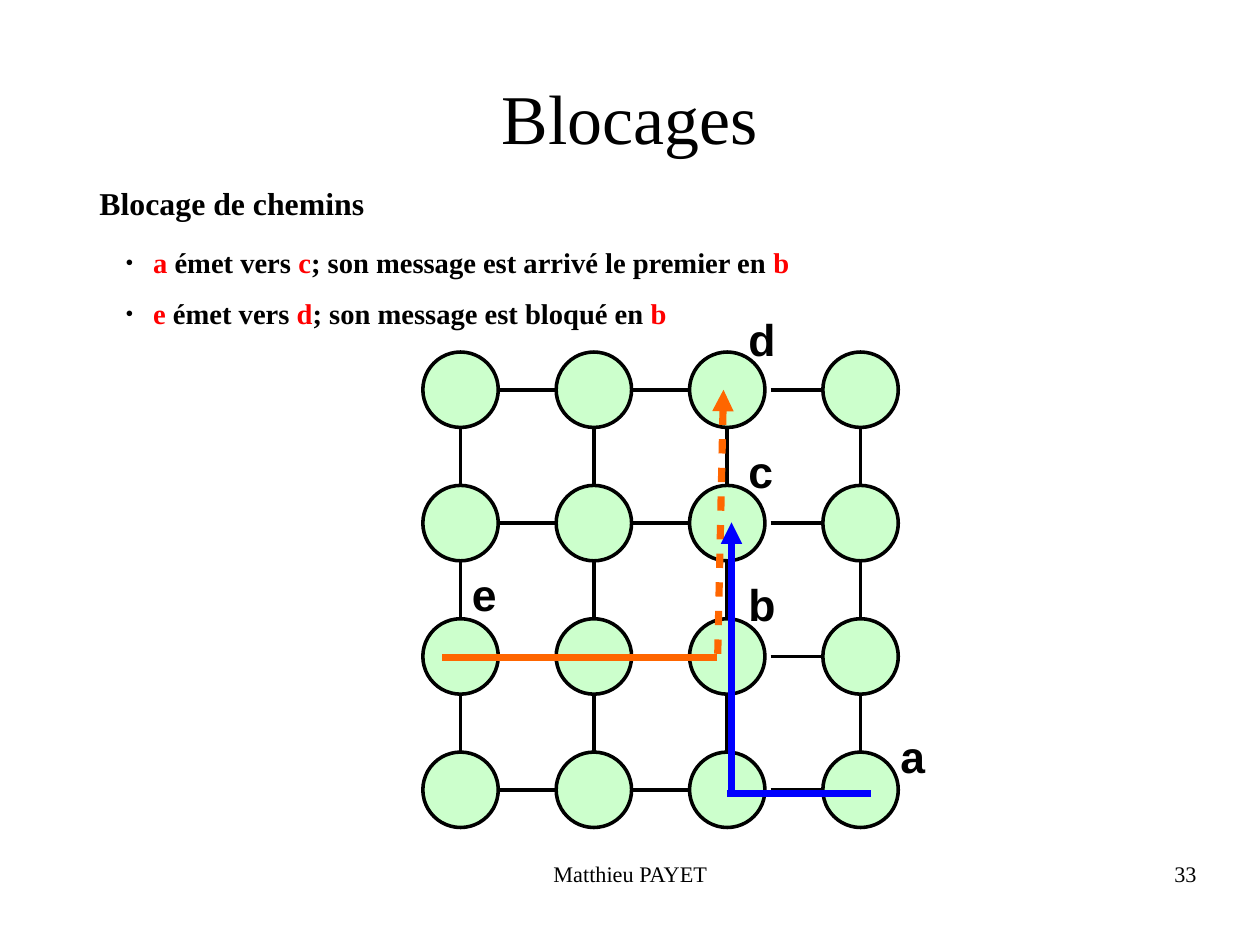
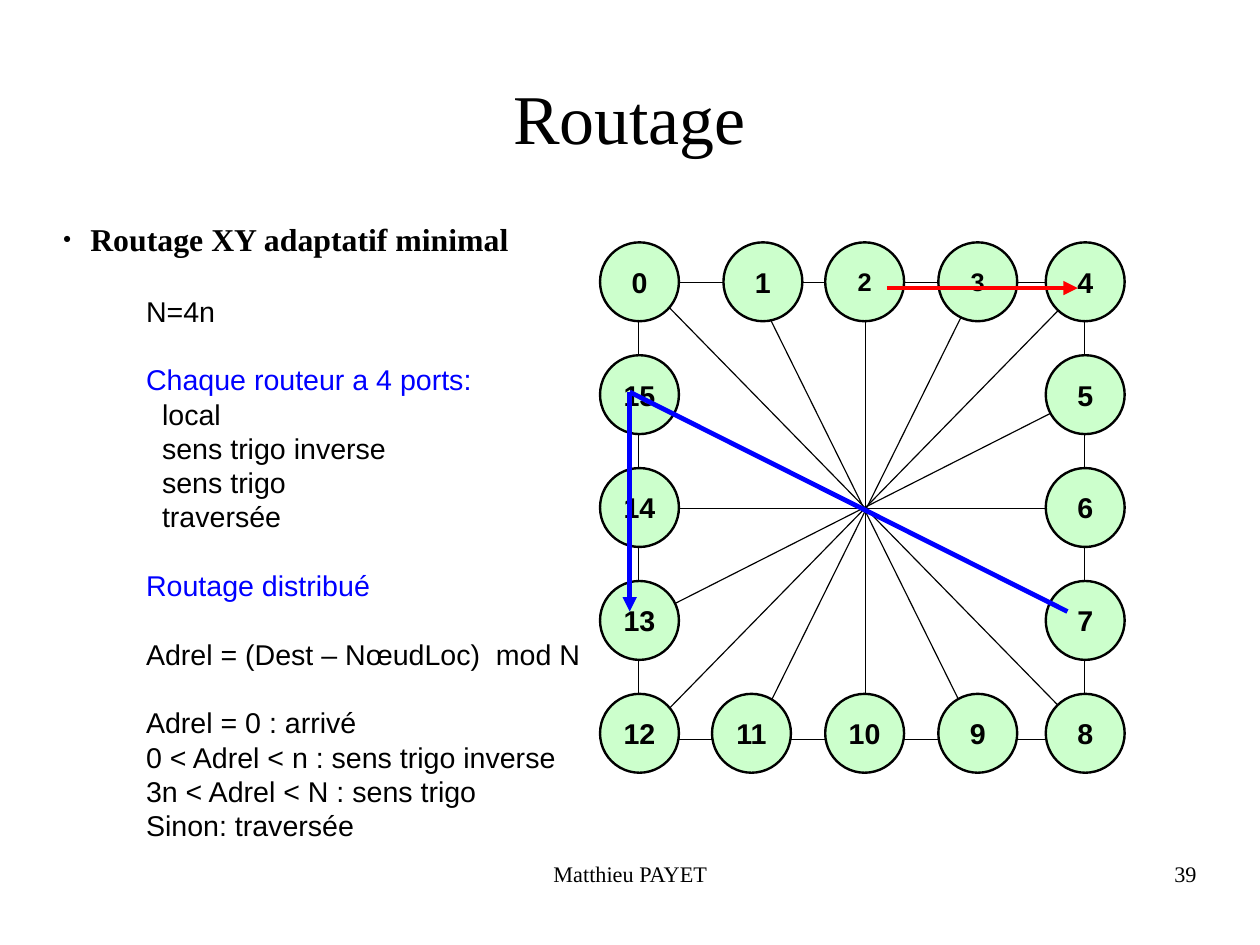
from dataclasses import dataclass
from typing import NamedTuple, Optional

from lxml.etree import SubElement
from pptx import Presentation
from pptx.dml.color import RGBColor
from pptx.enum.shapes import MSO_CONNECTOR, MSO_SHAPE
from pptx.enum.text import MSO_ANCHOR, MSO_AUTO_SIZE, PP_ALIGN
from pptx.oxml.ns import qn
from pptx.util import Inches, Pt


@dataclass(frozen=True)
class Theme:
    ink: str = "000000"
    node: str = "CCFFCC"
    red: str = "FF0000"
    blue: str = "0000FF"
    orange: str = "FF6600"
    serif: str = "Times New Roman"
    sans: str = "Arial"
    title: float = 44
    label: float = 28
    heading: float = 20
    text: float = 18
    small: float = 16
    footer: float = 14
    leading: float = 21.6


THEME = Theme()


class Span(NamedTuple):
    text: str
    color: Optional[str] = None


class Box(NamedTuple):
    left: float
    top: float
    width: float
    height: float


class Stroke(NamedTuple):
    start: tuple[float, float]
    end: tuple[float, float]
    color: str = THEME.ink
    weight: float = 0.75
    arrow: bool = False
    dashed: bool = False


class Item(NamedTuple):
    spans: tuple[Span, ...]
    size: float
    after: float
    margin: float
    bullet: bool = False
    level: int = 0


class Label(NamedTuple):
    text: str
    left: float
    top: float


class Row(NamedTuple):
    text: str
    color: str = THEME.ink
    gap: bool = False
    indent: float = 0


TITLE_BOX = Box(0.55, 0.33, 9.92, 1.38)
AUTHOR_BOX = Box(3.77, 7.53, 3.49, 0.57)
NUMBER_BOX = Box(7.9, 7.53, 2.57, 0.57)

BLOCKING_ITEMS = (
    Item((Span("Blocage de chemins"),), THEME.heading, 14.2, 0.24),
    Item((Span("a", THEME.red), Span(" émet vers "), Span("c", THEME.red),
          Span("; son message est arrivé le premier en "), Span("b", THEME.red)),
         THEME.text, 10.5, 0.71, True, 1),
    Item((Span("e ", THEME.red), Span("émet vers "), Span("d", THEME.red),
          Span("; son message est bloqué en "), Span("b", THEME.red)),
         THEME.text, 8.5, 0.71, True, 1),
)
BLOCKED_PATHS = (
    Stroke((3.87, 5.75), (6.27, 5.75), THEME.orange, 4.5),
    Stroke((6.28, 5.72), (6.33, 3.41), THEME.orange, 4.5, True, True),
    Stroke((7.62, 6.94), (6.36, 6.94), THEME.blue, 4.5),
    Stroke((6.4, 6.94), (6.4, 4.57), THEME.blue, 4.5, True),
)
NODE_LABELS = (
    Label("a", 7.78, 6.33), Label("b", 6.45, 5), Label("c", 6.45, 3.84),
    Label("d", 6.45, 2.68), Label("e", 4.03, 4.91),
)
ROUTING_ITEMS = (
    Item((Span("Routage XY adaptatif minimal"),), THEME.heading, 14.2, 0.24, True),
)
SPOKES = (
    Stroke((7.57, 2.47), (7.57, 6.47)),
    Stroke((5.59, 4.45), (9.5, 4.45)),
    Stroke((9.5, 2.47), (5.59, 6.47)),
    Stroke((5.64, 2.47), (9.55, 6.47)),
    Stroke((6.58, 2.47), (8.56, 6.47)),
    Stroke((8.56, 2.47), (6.58, 6.47)),
    Stroke((9.5, 3.46), (5.59, 5.44)),
    Stroke((5.59, 3.46), (9.5, 5.44)),
)
ROUTES = (
    Stroke((7.76, 2.52), (9.43, 2.52), THEME.red, 3, True),
    Stroke((5.51, 3.43), (5.51, 5.35), THEME.blue, 3, True),
    Stroke((5.51, 3.43), (9.34, 5.35), THEME.blue, 3),
)
ROUTING_ROWS = (
    Row("N=4n"),
    Row("Chaque routeur a 4 ports:", THEME.blue, True),
    Row("local", indent=0.14),
    Row("sens trigo inverse", indent=0.14),
    Row("sens trigo", indent=0.14),
    Row("traversée", indent=0.14),
    Row("Routage distribué", THEME.blue, True),
    Row("Adrel = (Dest – NœudLoc)  mod N", gap=True),
    Row("Adrel = 0 : arrivé", gap=True),
    Row("0 < Adrel < n : sens trigo inverse"),
    Row("3n < Adrel < N : sens trigo"),
    Row("Sinon: traversée"),
)


def rgb(color: str) -> RGBColor:
    return RGBColor.from_string(color)


def place(shape, box: Box) -> None:
    shape.left, shape.top, shape.width, shape.height = map(Inches, box)


def set_frame(frame, horizontal: float = 0, vertical: float = 0, wrap: bool = True) -> None:
    frame.margin_left = frame.margin_right = Inches(horizontal)
    frame.margin_top = frame.margin_bottom = Inches(vertical)
    frame.word_wrap = wrap
    frame.auto_size = MSO_AUTO_SIZE.NONE


def set_font(para, size: float, name: str, color: str = THEME.ink, bold: bool = False) -> None:
    font = para.font
    font.size, font.name, font.bold = Pt(size), name, bold
    font.color.rgb = rgb(color)


def add_text(page, box: Box, text: str, size: float, name: str,
             align: PP_ALIGN = PP_ALIGN.LEFT, bold: bool = False,
             horizontal: float = 0, vertical: float = 0) -> None:
    frame = page.shapes.add_textbox(*map(Inches, box)).text_frame
    set_frame(frame, horizontal, vertical)
    para = frame.paragraphs[0]
    para.text, para.alignment = text, align
    set_font(para, size, name, bold=bold)


def add_stroke(page, stroke: Stroke) -> None:
    line = page.shapes.add_connector(
        MSO_CONNECTOR.STRAIGHT, *map(Inches, (*stroke.start, *stroke.end)))
    line.line.color.rgb = rgb(stroke.color)
    line.line.width = Pt(stroke.weight)
    outline = line.line._get_or_add_ln()
    if stroke.dashed:
        dashes = SubElement(outline, qn("a:custDash"))
        SubElement(dashes, qn("a:ds"), d="200000", sp="200000")
    if stroke.arrow:
        SubElement(outline, qn("a:tailEnd"), type="triangle")
    SubElement(line._element.spPr, qn("a:effectLst"))


def add_node(page, left: float, top: float, diameter: float, weight: float,
             text: str = "", size: float = THEME.text) -> None:
    node = page.shapes.add_shape(
        MSO_SHAPE.OVAL, *map(Inches, (left, top, diameter, diameter)))
    node.shadow.inherit = False
    node.fill.solid()
    node.fill.fore_color.rgb = rgb(THEME.node)
    node.line.color.rgb = rgb(THEME.ink)
    node.line.width = Pt(weight)
    if text:
        frame = node.text_frame
        set_frame(frame, wrap=False)
        frame.vertical_anchor = MSO_ANCHOR.MIDDLE
        para = frame.paragraphs[0]
        para.text, para.alignment = text, PP_ALIGN.CENTER
        set_font(para, size, THEME.sans, bold=True)


def fill_body(body, box: Box, items: tuple[Item, ...]) -> None:
    place(body, box)
    frame = body.text_frame
    set_frame(frame)
    frame.vertical_anchor = MSO_ANCHOR.TOP
    for index, item in enumerate(items):
        para = frame.add_paragraph() if index else frame.paragraphs[0]
        para.level = item.level
        para.alignment = PP_ALIGN.LEFT
        para.space_before, para.space_after = Pt(0), Pt(item.after)
        properties = para._p.get_or_add_pPr()
        properties.set("marL", str(Inches(item.margin)))
        properties.set("indent", str(Inches(-0.24 if item.bullet else 0)))
        if item.bullet:
            color = SubElement(properties, qn("a:buClr"))
            SubElement(color, qn("a:srgbClr"), val=THEME.ink)
            SubElement(properties, qn("a:buSzPct"), val="45000")
            SubElement(properties, qn("a:buChar"), char="●")
        else:
            SubElement(properties, qn("a:buNone"))
        set_font(para, item.size, THEME.serif, bold=True)
        for span in item.spans:
            run = para.add_run()
            run.text = span.text
            if span.color:
                run.font.color.rgb = rgb(span.color)


def add_page(deck, title: str, number: int, body_box: Box, items: tuple[Item, ...]):
    page = deck.slides.add_slide(deck.slide_layouts[1])
    heading = page.shapes.title
    place(heading, TITLE_BOX)
    frame = heading.text_frame
    set_frame(frame)
    frame.vertical_anchor = MSO_ANCHOR.MIDDLE
    para = frame.paragraphs[0]
    para.text, para.alignment = title, PP_ALIGN.CENTER
    set_font(para, THEME.title, THEME.serif)
    fill_body(page.placeholders[1], body_box, items)
    add_text(page, AUTHOR_BOX, "Matthieu PAYET", THEME.footer, THEME.serif, PP_ALIGN.CENTER)
    add_text(page, NUMBER_BOX, str(number), THEME.footer, THEME.serif, PP_ALIGN.RIGHT)
    return page


def draw_mesh(page) -> None:
    count, left, top, diameter, pitch, weight = 4, 3.7, 3.08, 0.66, 3.5 / 3, 2.25
    radius = diameter / 2
    for row in range(count):
        for column in range(count):
            x, y = left + column * pitch, top + row * pitch
            add_node(page, x, y, diameter, weight)
            if column < count - 1:
                gap = 0.05 if column == count - 2 else 0
                add_stroke(page, Stroke((x + diameter + gap, y + radius),
                                        (x + pitch, y + radius), weight=weight))
            if row < count - 1:
                add_stroke(page, Stroke((x + radius, y + diameter),
                                        (x + radius, y + pitch), weight=weight))


def draw_ring(page) -> None:
    ring = page.shapes.add_shape(MSO_SHAPE.RECTANGLE, *map(Inches, (5.59, 2.47, 3.9, 4)))
    ring.shadow.inherit = False
    ring.fill.background()
    ring.line.color.rgb = rgb(THEME.ink)
    ring.line.width = Pt(0.75)
    for spoke in SPOKES:
        add_stroke(page, spoke)
    rows = [2.12 + 3.95 / 4 * index for index in range(5)]
    upper = [(x, rows[0]) for x in (5.25, 6.33, 7.22, 8.21)]
    right = [(9.15, y) for y in rows[:-1]]
    lower = [(x, rows[-1]) for x in (9.15, 8.21, 7.22, 6.23)]
    left = [(5.25, y) for y in rows[:0:-1]]
    for number, (x, y) in enumerate(upper + right + lower + left):
        size = THEME.small if number in (2, 3) else THEME.text
        add_node(page, x, y, 0.69, 1.5, str(number), size)


def add_routing_rules(page) -> None:
    frame = page.shapes.add_textbox(*map(Inches, (1.18, 2.52, 4, 4.9))).text_frame
    set_frame(frame, 0.1, 0.05, wrap=False)
    for index, row in enumerate(ROUTING_ROWS):
        para = frame.add_paragraph() if index else frame.paragraphs[0]
        para.text = row.text
        para.line_spacing = Pt(THEME.leading)
        para.space_before = Pt(THEME.leading if row.gap else 0)
        para._p.get_or_add_pPr().set("marL", str(Inches(row.indent)))
        set_font(para, THEME.text, THEME.sans, row.color)


def main() -> None:
    deck = Presentation()
    deck.slide_width, deck.slide_height = Pt(793.75), Pt(595.25)

    blocking = add_page(deck, "Blocages", 33, Box(0.63, 1.61, 9.05, 5.51), BLOCKING_ITEMS)
    draw_mesh(blocking)
    for stroke in BLOCKED_PATHS:
        add_stroke(blocking, stroke)
    for label in NODE_LABELS:
        add_text(blocking, Box(label.left, label.top, 0.65, 0.57), label.text,
                 THEME.label, THEME.sans, bold=True, horizontal=0.1, vertical=0.05)

    routing = add_page(deck, "Routage", 39, Box(0.55, 1.92, 4.6, 0.5), ROUTING_ITEMS)
    draw_ring(routing)
    for stroke in ROUTES:
        add_stroke(routing, stroke)
    add_routing_rules(routing)

    deck.save("out.pptx")


if __name__ == "__main__":
    main()
